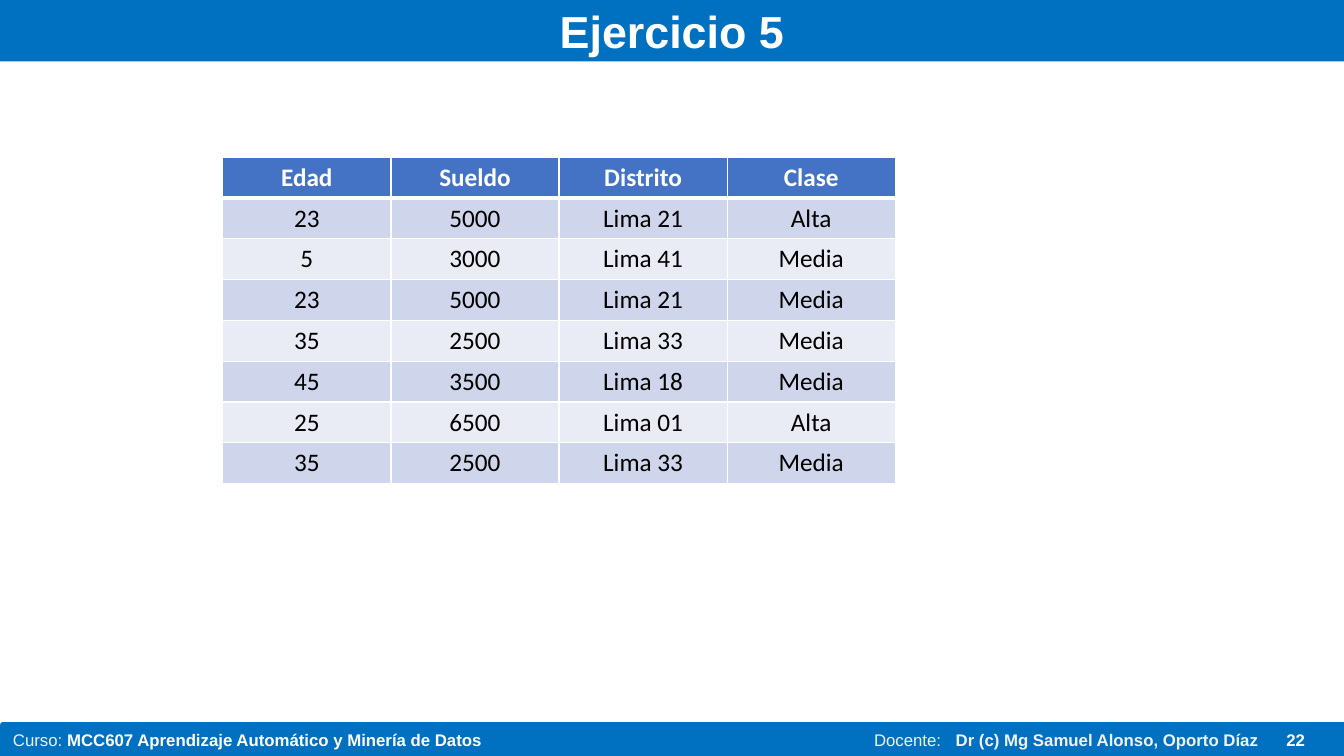
from lxml.etree import SubElement
from pptx import Presentation
from pptx.dml.color import RGBColor
from pptx.enum.shapes import MSO_SHAPE as Shape
from pptx.enum.text import MSO_ANCHOR as Anchor, PP_ALIGN as Align
from pptx.oxml.ns import qn
from pptx.util import Inches, Pt

BLUE = RGBColor(0x00, 0x70, 0xC0)
HEADER_BLUE = RGBColor(0x44, 0x72, 0xC4)
DARK_BAND = RGBColor(0xCF, 0xD5, 0xEA)
LIGHT_BAND = RGBColor(0xE9, 0xEB, 0xF5)
WHITE = RGBColor(0xFF, 0xFF, 0xFF)
OFF_WHITE = RGBColor(0xF2, 0xF2, 0xF2)
BLACK = RGBColor(0x00, 0x00, 0x00)

PEOPLE = [
    ("Edad", "Sueldo", "Distrito", "Clase"),
    ("23", "5000", "Lima 21", "Alta"),
    ("5", "3000", "Lima 41", "Media"),
    ("23", "5000", "Lima 21", "Media"),
    ("35", "2500", "Lima 33", "Media"),
    ("45", "3500", "Lima 18", "Media"),
    ("25", "6500", "Lima 01", "Alta"),
    ("35", "2500", "Lima 33", "Media"),
]


class SlideBuilder:
    heading_font = "Arial"
    table_font = "Calibri"

    def __init__(self, slide):
        self.slide = slide

    def style(self, paragraph, name, size, color=None, bold=None, align=Align.LEFT):
        paragraph.alignment = align
        font = paragraph.font
        font.name, font.size, font.bold = name, Pt(size), bold
        if color is not None:
            font.color.rgb = color

    def bar(self, left, top, width, height, anchor, line_width=None):
        """Blue band; returns its first paragraph."""
        band = self.slide.shapes.add_shape(
            Shape.RECTANGLE, Inches(left), Inches(top), Inches(width), Inches(height))
        band.shadow.inherit = False
        band.fill.solid()
        band.fill.fore_color.rgb = BLUE
        if line_width:
            band.line.color.rgb = BLUE
            band.line.width = Pt(line_width)
        else:
            band.line.fill.background()
        band.text_frame.vertical_anchor = anchor
        return band.text_frame.paragraphs[0]

    def title(self, text):
        heading = self.bar(0, 0, 13.33, 0.61, Anchor.MIDDLE)
        heading.text = text
        self.style(heading, self.heading_font, 32, WHITE, True, Align.CENTER)

    def footer(self, pieces, tab_stops):
        credits = self.bar(0.03, 7.19, 13.31, 0.31, Anchor.TOP, line_width=4.5)
        self.style(credits, self.heading_font, 12)
        for text, color, bold in pieces:
            run = credits.add_run()
            run.text = text
            run.font.color.rgb = color
            run.font.bold = bold
        # Tab stops precede the default run properties
        properties = credits._p.get_or_add_pPr()
        stops = SubElement(properties, qn("a:tabLst"))
        properties.insert(0, stops)
        for stop in tab_stops:
            SubElement(stops, qn("a:tab"), pos=str(Inches(stop)), algn="l")

    def page_number(self, number):
        box = self.slide.shapes.add_textbox(
            Inches(12.66), Inches(7.19), Inches(0.5), Inches(0.3))
        box.text_frame.word_wrap = False
        page = box.text_frame.paragraphs[0]
        page.text = str(number)
        self.style(page, self.heading_font, 12, WHITE, True)

    def borders(self, cell, widths):
        properties = cell._tc.get_or_add_tcPr()
        for side, width in zip("LRTB", widths):
            line = SubElement(properties, qn(f"a:ln{side}"), w=str(Pt(width)))
            fill = SubElement(line, qn("a:solidFill"))
            SubElement(fill, qn("a:srgbClr"), val=str(WHITE))

    def table(self, rows, left, top, width, height):
        grid = self.slide.shapes.add_table(
            len(rows), len(rows[0]),
            Inches(left), Inches(top), Inches(width), Inches(height)).table
        for r, row in enumerate(rows):
            header = r == 0
            band = HEADER_BLUE if header else DARK_BAND if r % 2 else LIGHT_BAND
            # A thick rule separates the header from the first record
            widths = (1, 1, 3 if r == 1 else 1, 3 if header else 1)
            for c, value in enumerate(row):
                cell = grid.cell(r, c)
                self.borders(cell, widths)
                cell.fill.solid()
                cell.fill.fore_color.rgb = band
                cell.text = value
                self.style(cell.text_frame.paragraphs[0], self.table_font, 18,
                           WHITE if header else BLACK, header, Align.CENTER)


def main():
    deck = Presentation()
    deck.slide_width, deck.slide_height = Inches(13.33), Inches(7.5)
    builder = SlideBuilder(deck.slides.add_slide(deck.slide_layouts[6]))

    # Footer
    builder.footer([
        ("Curso: ", OFF_WHITE, False),
        ("MCC607 Aprendizaje Automático y Minería de Datos", WHITE, True),
        ("\tDocente:", OFF_WHITE, False),
        ("\tDr (c) Mg Samuel Alonso, Oporto Díaz", OFF_WHITE, True),
    ], tab_stops=(8.54, 9.35))
    builder.page_number(22)

    # Title and data
    builder.title("Ejercicio 5")
    builder.table(PEOPLE, 2.21, 1.56, 6.67, 3.24)

    deck.save("out.pptx")


if __name__ == "__main__":
    main()
